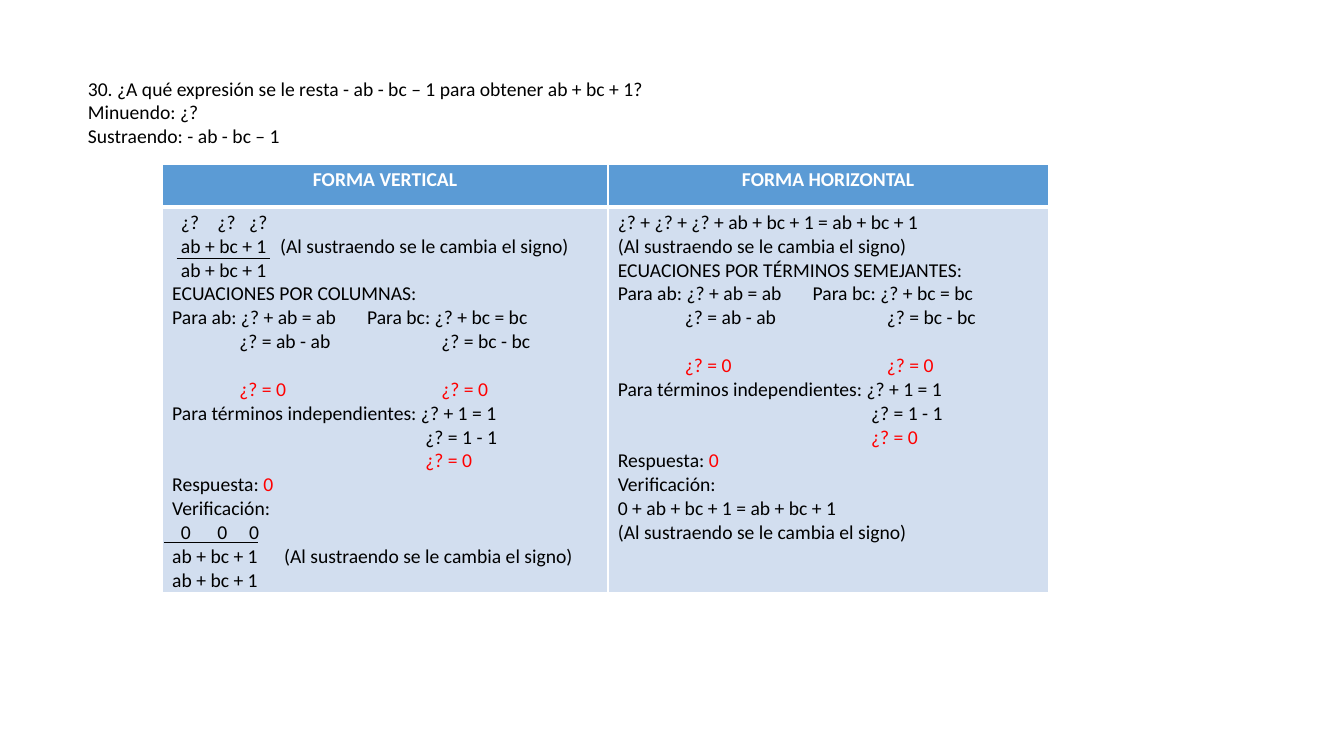
from lxml.etree import SubElement
from pptx import Presentation
from pptx.dml.color import RGBColor
from pptx.enum.shapes import MSO_CONNECTOR as Connector
from pptx.enum.text import MSO_ANCHOR as Anchor, MSO_AUTO_SIZE as AutoSize, PP_ALIGN as Align
from pptx.oxml import parse_xml
from pptx.oxml.ns import nsdecls, qn
from pptx.util import Cm, Pt

BLACK = RGBColor(0x00, 0x00, 0x00)
WHITE = RGBColor(0xFF, 0xFF, 0xFF)
RED = RGBColor(0xFF, 0x00, 0x00)
HEADER_BLUE = RGBColor(0x5B, 0x9B, 0xD5)
BODY_BLUE = RGBColor(0xD2, 0xDE, 0xEF)

QUESTION = [
    "30. ¿A qué expresión se le resta - ab - bc – 1 para obtener ab + bc + 1?",
    "Minuendo: ¿?",
    "Sustraendo: - ab - bc – 1",
]
HEADINGS = ["FORMA VERTICAL", "FORMA HORIZONTAL"]
SIGN_NOTE = "(Al sustraendo se le cambia el signo)"

TERMS = (0.22, 1.14, 1.94)
SUM_NOTE = (0.22, 2.72)
CHECK_NOTE = (2.82,)
PAIR = (4.91,)
SOLUTIONS = (1.69, 6.78)
INDEPENDENT = (6.38,)
LINE_HEIGHT = 17.1

# Each line: tab stops in cm, black text, red text, space before in points
EQUATIONS = [
    (PAIR, "Para ab: ¿? + ab = ab\tPara bc: ¿? + bc = bc", "", 0),
    (SOLUTIONS, "\t¿? = ab - ab\t¿? = bc - bc", "", 0),
    (SOLUTIONS, "", "\t¿? = 0\t¿? = 0", LINE_HEIGHT),
    ((), "Para términos independientes: ¿? + 1 = 1", "", 0),
    (INDEPENDENT, "\t¿? = 1 - 1", "", 0),
    (INDEPENDENT, "", "\t¿? = 0", 0),
    ((), "Respuesta: ", "0", 0),
    ((), "Verificación:", "", 0),
]
VERTICAL = [
    (TERMS, "\t¿?\t¿?\t¿?", "", 0),
    (SUM_NOTE, "\tab + bc + 1\t" + SIGN_NOTE, "", 0),
    (SUM_NOTE, "\tab + bc + 1", "", 0),
    ((), "ECUACIONES POR COLUMNAS:", "", 0),
    *EQUATIONS,
    (TERMS, "\t0\t0\t0", "", 0),
    (CHECK_NOTE, "ab + bc + 1\t" + SIGN_NOTE, "", 0),
    ((), "ab + bc + 1", "", 0),
]
HORIZONTAL = [
    ((), "¿? + ¿? + ¿? + ab + bc + 1 = ab + bc + 1", "", 0),
    ((), SIGN_NOTE, "", 0),
    ((), "ECUACIONES POR TÉRMINOS SEMEJANTES:", "", 0),
    *EQUATIONS,
    ((), "0 + ab + bc + 1 = ab + bc + 1", "", 0),
    ((), SIGN_NOTE, "", 0),
]

QUESTION_BOX = {"left": Cm(1.96), "top": Cm(1.8), "width": Cm(20.47), "height": Cm(2.06)}
TABLE_LEFT, TABLE_TOP = 4.09, 4.14
COLUMN_WIDTHS = (11.23, 11.1)
ROW_HEIGHTS = (1.07, 9.73)
SUM_LINES = [(4.45, 6.5), (4.14, 13.67)]
SUM_LINE_WIDTH = 2.36
FONT = {"name": "Calibri", "size": Pt(14), "bold": False}
CELL = {"margin_left": Cm(0.25), "margin_right": Cm(0.25), "margin_top": Cm(0.1),
        "margin_bottom": Cm(0), "vertical_anchor": Anchor.TOP}


def apply(target, values):
    """Set every attribute in values on the target."""
    for name, value in values.items():
        setattr(target, name, value)


def write_line(paragraph, line, color=BLACK, bold=False, align=Align.LEFT):
    """Write one line with its tab stops, black part and red part."""
    stops, plain, result, space = line
    if stops:
        tab_list = SubElement(paragraph._p.get_or_add_pPr(), qn("a:tabLst"))
        for stop in stops:
            SubElement(tab_list, qn("a:tab"), pos=str(int(Cm(stop))), algn="l")
    apply(paragraph, {"alignment": align, "line_spacing": 1.0, "space_before": Pt(space)})
    for text, run_color in ((plain, color), (result, RED)):
        if text:
            run = paragraph.add_run()
            run.text = text
            apply(run.font, FONT | {"bold": bold})
            run.font.color.rgb = run_color


def write_lines(frame, lines, **style):
    """Fill a text frame with one paragraph per line."""
    for index, line in enumerate(lines):
        paragraph = frame.add_paragraph() if index else frame.paragraphs[0]
        write_line(paragraph, line, **style)


def add_borders(cell, top, bottom):
    """Draw white borders with the given top and bottom widths in points."""
    borders = {"lnL": 1, "lnR": 1, "lnT": top, "lnB": bottom}
    for index, (side, width) in enumerate(borders.items()):
        cell._tc.get_or_add_tcPr().insert(index, parse_xml(
            f'<a:{side} {nsdecls("a")} w="{int(Pt(width))}"><a:solidFill>'
            f'<a:srgbClr val="{WHITE}"/></a:solidFill></a:{side}>'))


def add_table(slide):
    """Add the table with the two ways of solving."""
    table = slide.shapes.add_table(2, 2, Cm(TABLE_LEFT), Cm(TABLE_TOP),
                                   Cm(sum(COLUMN_WIDTHS)), Cm(sum(ROW_HEIGHTS))).table
    for column, width in zip(table.columns, COLUMN_WIDTHS):
        column.width = Cm(width)
    for row, height in zip(table.rows, ROW_HEIGHTS):
        row.height = Cm(height)
    header_style = {"color": WHITE, "bold": True, "align": Align.CENTER}
    headings = [[((), heading, "", 0)] for heading in HEADINGS]
    rows = [(headings, HEADER_BLUE, header_style, (1, 3)),
            ([VERTICAL, HORIZONTAL], BODY_BLUE, {}, (3, 1))]
    for row, (contents, fill, style, widths) in zip(table.rows, rows):
        for cell, lines in zip(row.cells, contents):
            apply(cell, CELL)
            cell.fill.solid()
            cell.fill.fore_color.rgb = fill
            add_borders(cell, *widths)
            write_lines(cell.text_frame, lines, **style)


def main():
    """Build the slide on subtracting algebraic expressions."""
    presentation = Presentation()
    apply(presentation, {"slide_width": Cm(33.87), "slide_height": Cm(19.05)})
    slide = presentation.slides.add_slide(presentation.slide_layouts[5])
    title = slide.shapes.title
    apply(title, QUESTION_BOX)
    apply(title.text_frame, {"word_wrap": True, "auto_size": AutoSize.NONE,
                             "vertical_anchor": Anchor.TOP})
    write_lines(title.text_frame, [((), text, "", 0) for text in QUESTION])
    add_table(slide)
    for left, top in SUM_LINES:
        line = slide.shapes.add_connector(Connector.STRAIGHT, Cm(left), Cm(top),
                                          Cm(left + SUM_LINE_WIDTH), Cm(top))
        line.line.color.rgb = BLACK
        line.line.width = Pt(0.5)
        SubElement(line._element.spPr, qn("a:effectLst"))
    presentation.save("out.pptx")


if __name__ == "__main__":
    main()
